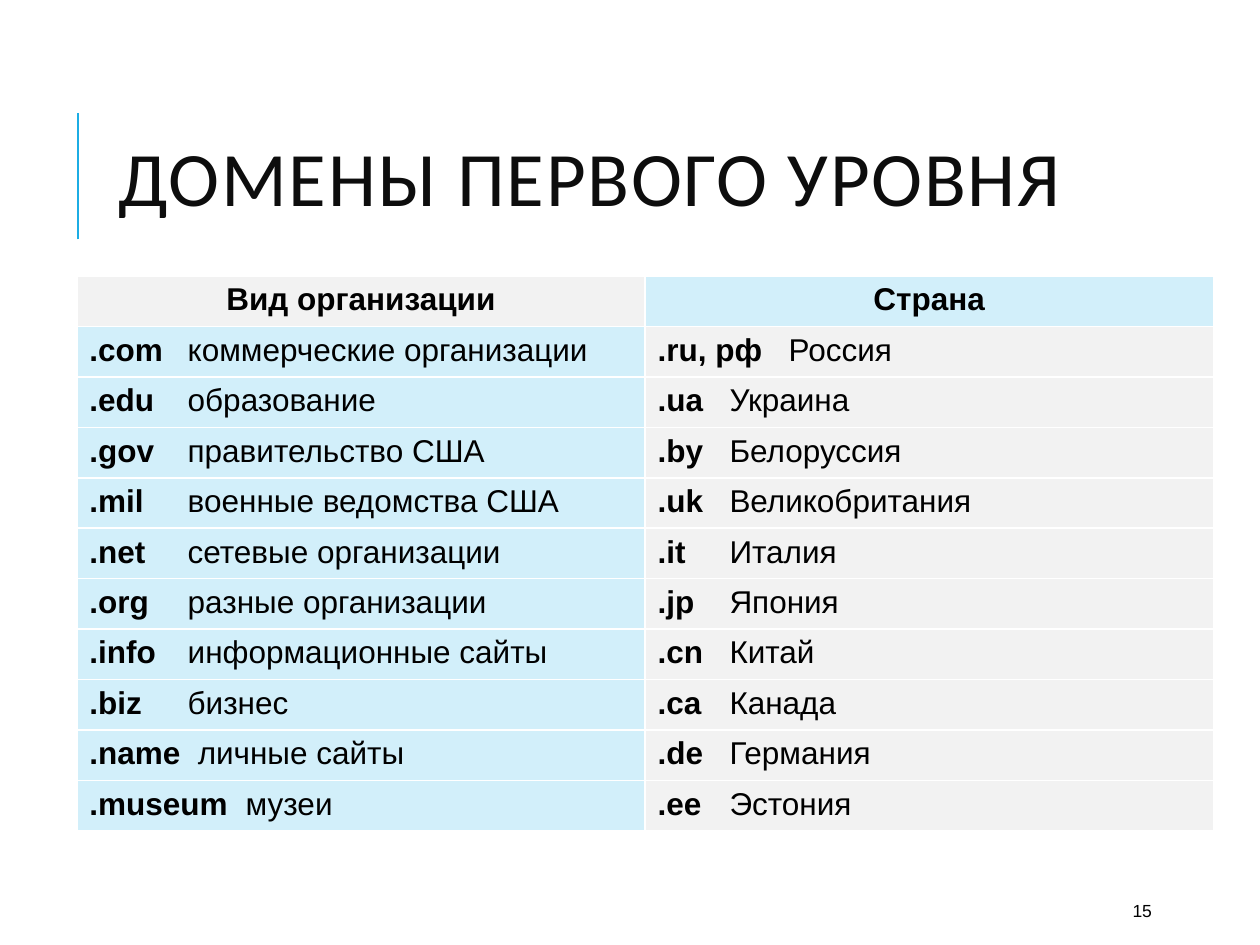
from lxml import etree
from pptx import Presentation
from pptx.dml.color import RGBColor
from pptx.enum.shapes import MSO_CONNECTOR
from pptx.enum.text import MSO_ANCHOR, PP_ALIGN
from pptx.oxml.ns import qn
from pptx.util import Inches, Pt

STRAIGHT = MSO_CONNECTOR.STRAIGHT
MIDDLE = MSO_ANCHOR.MIDDLE
LEFT, CENTER = PP_ALIGN.LEFT, PP_ALIGN.CENTER
TITLE_ONLY = 5

BLACK = RGBColor(0x00, 0x00, 0x00)
NEAR_BLACK = RGBColor(0x0D, 0x0D, 0x0D)
ACCENT = RGBColor(0x1C, 0xAD, 0xE4)
PALE_BLUE = RGBColor(0xD2, 0xEF, 0xFA)
PALE_GRAY = RGBColor(0xF2, 0xF2, 0xF2)

ORGANIZATIONS = [
    (".com", "коммерческие организации"),
    (".edu", "образование"),
    (".gov", "правительство США"),
    (".mil", "военные ведомства США"),
    (".net", "сетевые организации"),
    (".org", "разные организации"),
    (".info", "информационные сайты"),
    (".biz", "бизнес"),
    (".name", "личные сайты"),
    (".museum", "музеи"),
]
COUNTRIES = [
    (".ru, рф", "Россия"),
    (".ua", "Украина"),
    (".by", "Белоруссия"),
    (".uk", "Великобритания"),
    (".it", "Италия"),
    (".jp", "Япония"),
    (".cn", "Китай"),
    (".ca", "Канада"),
    (".de", "Германия"),
    (".ee", "Эстония"),
]
# Heading, heading fill, body fill, tab stop in inches, domains
COLUMNS = [
    ("Вид организации", PALE_GRAY, PALE_BLUE, 0.78, ORGANIZATIONS),
    ("Страна", PALE_BLUE, PALE_GRAY, 0.57, COUNTRIES),
]
LONG_NAME_TABS = {".name": 0.86, ".museum": 1.24, ".ru, рф": 1.04}


class SlideBuilder:
    """Holds the text style and the slide being filled."""

    def __init__(self, slide):
        self.slide = slide
        self.body_font = "Arial"
        self.title_font = "Calibri"

    def set_font(self, paragraph, name, size, color):
        font = paragraph.font
        font.name = name
        font.size = Pt(size)
        font.color.rgb = color

    def title(self, text, left, top, width, height):
        box = self.slide.shapes.title
        box.left, box.top = Inches(left), Inches(top)
        box.width, box.height = Inches(width), Inches(height)
        box.text_frame.vertical_anchor = MIDDLE
        paragraph = box.text_frame.paragraphs[0]
        paragraph.alignment = LEFT
        paragraph.line_spacing = 0.8
        self.set_font(paragraph, self.title_font, 44, NEAR_BLACK)
        span = paragraph.add_run()
        span.text = text
        span.font._element.set("spc", "100")

    def line(self, x1, y1, x2, y2):
        line = self.slide.shapes.add_connector(
            STRAIGHT, Inches(x1), Inches(y1), Inches(x2), Inches(y2))
        line.line.color.rgb = ACCENT
        line.line.width = Pt(1.5)
        etree.SubElement(line._element.spPr, qn("a:effectLst"))

    def text(self, text, left, top, width, height):
        box = self.slide.shapes.add_textbox(
            Inches(left), Inches(top), Inches(width), Inches(height))
        frame = box.text_frame
        frame.word_wrap = True
        frame.vertical_anchor = MIDDLE
        frame.text = text
        self.set_font(frame.paragraphs[0], self.body_font, 10, BLACK)

    def cell(self, cell, fill):
        """Fill a cell and return its styled paragraph."""
        cell.fill.solid()
        cell.fill.fore_color.rgb = fill
        paragraph = cell.text_frame.paragraphs[0]
        self.set_font(paragraph, self.body_font, 18, BLACK)
        return paragraph

    def tab_stop(self, paragraph, position):
        stops = etree.Element(qn("a:tabLst"))
        etree.SubElement(stops, qn("a:tab"), pos=str(Inches(position)), algn="l")
        paragraph._p.get_or_add_pPr().insert(0, stops)

    def domain_table(self, columns, left, top, width, row_height):
        row_count = 1 + len(columns[0][-1])
        table = self.slide.shapes.add_table(
            row_count, len(columns), Inches(left), Inches(top),
            Inches(width), Inches(row_height * row_count)).table
        table.first_row = table.horz_banding = False
        for column, (heading, head_fill, body_fill, tab, domains) in enumerate(columns):
            paragraph = self.cell(table.cell(0, column), head_fill)
            paragraph.alignment = CENTER
            paragraph.font.bold = True
            paragraph.add_run().text = heading
            for row, (domain, meaning) in enumerate(domains, start=1):
                paragraph = self.cell(table.cell(row, column), body_fill)
                self.tab_stop(paragraph, LONG_NAME_TABS.get(domain, tab))
                for words, bold in ((domain + "\t", True), (meaning, False)):
                    span = paragraph.add_run()
                    span.text = words
                    span.font.bold = bold


def main():
    deck = Presentation()
    deck.slide_width, deck.slide_height = Inches(10), Inches(7.5)
    page = SlideBuilder(deck.slides.add_slide(deck.slide_layouts[TITLE_ONLY]))
    page.line(0.62, 1.9, 0.62, 0.9)
    page.title("ДОМЕНЫ ПЕРВОГО УРОВНЯ", 0.84, 0.64, 7.97, 1.64)
    page.text("15", 8.89, 7.08, 0.8, 0.3)
    page.domain_table(COLUMNS, 0.61, 2.19, 9.02, 0.4)
    deck.save("out.pptx")


if __name__ == "__main__":
    main()
